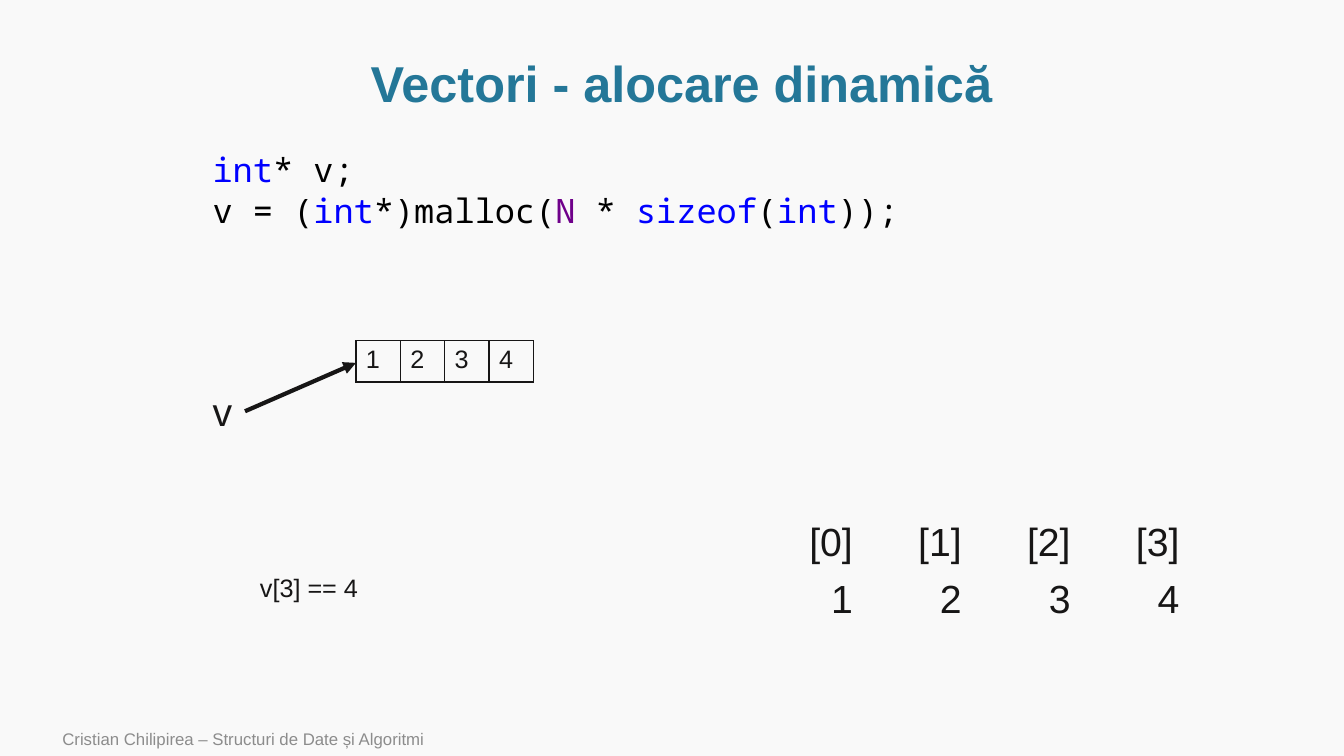
from dataclasses import dataclass

import pptx
import pptx.dml.color
import pptx.enum.shapes
import pptx.enum.text
import pptx.oxml.ns
import pptx.slide
import pptx.table
import pptx.text.text
import pptx.util
from lxml import etree

RGBColor = pptx.dml.color.RGBColor
Inches = pptx.util.Inches
Pt = pptx.util.Pt
Anchor = pptx.enum.text.MSO_ANCHOR
qn = pptx.oxml.ns.qn

PAPER = RGBColor(0xF9, 0xF9, 0xF9)
INK = RGBColor(0x17, 0x16, 0x16)
TEAL = RGBColor(0x24, 0x77, 0x98)
GREY = RGBColor(0x8C, 0x8C, 0x8C)
BLACK = RGBColor(0, 0, 0)
KEYWORD = RGBColor(0, 0, 0xFF)
MACRO = RGBColor(0x6F, 0, 0x8A)

TOKEN_COLORS = {"int": KEYWORD, "sizeof": KEYWORD, "N": MACRO}
CODE = [
    ["int", "* v;"],
    ["v = (", "int", "*)malloc(", "N", " * ", "sizeof", "(", "int", "));"],
]
VALUES = ["1", "2", "3", "4"]
CELL_WIDTH = 0.44
FIRST_TAB, TAB_STEP = 1.5, 1.08


@dataclass
class Label:
    text: str
    left: float
    top: float
    width: float
    height: float
    size: int
    color: RGBColor = INK
    anchor: Anchor = Anchor.TOP
    wrap: bool = True


LABELS = [
    Label("Cristian Chilipirea – Structuri de Date și Algoritmi",
          0.52, 7.16, 8.4, 0.34, 12, GREY, Anchor.MIDDLE),
    Label("v", 2.01, 3.79, 0.42, 0.57, 28),
    Label("v[3] == 4", 2.48, 5.63, 1.18, 0.4, 18, wrap=False),
]


def style(font: pptx.text.text.Font, size: int, color: RGBColor, name: str = "Arial") -> None:
    font.name = name
    font.size = Pt(size)
    font.color.rgb = color


def add_frame(slide: pptx.slide.Slide, left: float, top: float,
              width: float, height: float) -> pptx.text.text.TextFrame:
    frame = slide.shapes.add_textbox(
        Inches(left), Inches(top), Inches(width), Inches(height)).text_frame
    frame.word_wrap = True
    return frame


def add_label(slide: pptx.slide.Slide, label: Label) -> None:
    frame = add_frame(slide, label.left, label.top, label.width, label.height)
    frame.word_wrap = label.wrap
    frame.vertical_anchor = label.anchor
    frame.text = label.text
    style(frame.paragraphs[0].runs[0].font, label.size, label.color)


def add_title(slide: pptx.slide.Slide) -> None:
    title = slide.shapes.title
    title.left, title.top = Inches(1.01), Inches(0.51)
    title.width, title.height = Inches(11.5), Inches(0.69)
    title.text_frame.text = "Vectori - alocare dinamică"
    title.text_frame.vertical_anchor = Anchor.MIDDLE
    heading = title.text_frame.paragraphs[0]
    heading.alignment = pptx.enum.text.PP_ALIGN.CENTER
    heading.line_spacing = 0.9
    style(heading.runs[0].font, 36, TEAL)
    heading.runs[0].font.bold = True


def add_code(slide: pptx.slide.Slide) -> None:
    frame = add_frame(slide, 2.01, 1.43, 8.38, 0.91)
    for number, tokens in enumerate(CODE):
        line = frame.add_paragraph() if number else frame.paragraphs[0]
        for token in tokens:
            run = line.add_run()
            run.text = token
            style(run.font, 24, TOKEN_COLORS.get(token, BLACK), "Noto Sans Mono")


def outline_cell(cell: pptx.table._Cell) -> None:
    properties = cell._tc.get_or_add_tcPr()
    for side in ("a:lnL", "a:lnR", "a:lnT", "a:lnB"):
        border = etree.SubElement(properties, qn(side), w=str(Pt(1)))
        fill = etree.SubElement(border, qn("a:solidFill"))
        etree.SubElement(fill, qn("a:srgbClr"), val=str(INK))
    cell.fill.background()


def add_vector(slide: pptx.slide.Slide) -> None:
    vector = slide.shapes.add_table(
        1, len(VALUES), Inches(3.53), Inches(3.38),
        Inches(CELL_WIDTH * len(VALUES)), Inches(0.41)).table
    vector.first_row = vector.horz_banding = False
    for column, value in enumerate(VALUES):
        vector.columns[column].width = Inches(CELL_WIDTH)
        cell = vector.cell(0, column)
        cell.text_frame.text = value
        style(cell.text_frame.paragraphs[0].runs[0].font, 18, INK)
        outline_cell(cell)


def add_pointer(slide: pptx.slide.Slide) -> None:
    pointer = slide.shapes.add_connector(
        pptx.enum.shapes.MSO_CONNECTOR.STRAIGHT,
        Inches(2.43), Inches(4.08), Inches(3.53), Inches(3.6))
    pointer.line.color.rgb = INK
    pointer.line.width = Pt(3)
    properties = pointer._element.spPr
    etree.SubElement(properties.find(qn("a:ln")), qn("a:tailEnd"), type="triangle")
    etree.SubElement(properties, qn("a:effectLst"))


def add_index_rows(slide: pptx.slide.Slide) -> None:
    """Show each index above its value, aligned by right tabs."""
    frame = add_frame(slide, 6.86, 5.14, 5.28, 1.78)
    indices = [f"[{index}]" for index in range(len(VALUES))]
    for number, entries in enumerate((indices, VALUES)):
        row = frame.add_paragraph() if number else frame.paragraphs[0]
        row.text = "".join(f"\t{entry}" for entry in entries)
        tabs = etree.SubElement(row._p.get_or_add_pPr(), qn("a:tabLst"))
        for column in range(len(entries)):
            position = Inches(FIRST_TAB + TAB_STEP * column)
            etree.SubElement(tabs, qn("a:tab"), pos=str(position), algn="r")
        row.line_spacing = 0.9
        row.space_before = Pt(10 * number)
        style(row.runs[0].font, 28, INK)


def main() -> None:
    presentation = pptx.Presentation()
    presentation.slide_width = Inches(13.33)
    presentation.slide_height = Inches(7.5)
    slide = presentation.slides.add_slide(presentation.slide_layouts.get_by_name("Title Only"))
    slide.background.fill.solid()
    slide.background.fill.fore_color.rgb = PAPER
    add_title(slide)
    add_vector(slide)
    add_code(slide)
    add_pointer(slide)
    add_index_rows(slide)
    for label in LABELS:
        add_label(slide, label)
    presentation.save("out.pptx")


if __name__ == "__main__":
    main()
